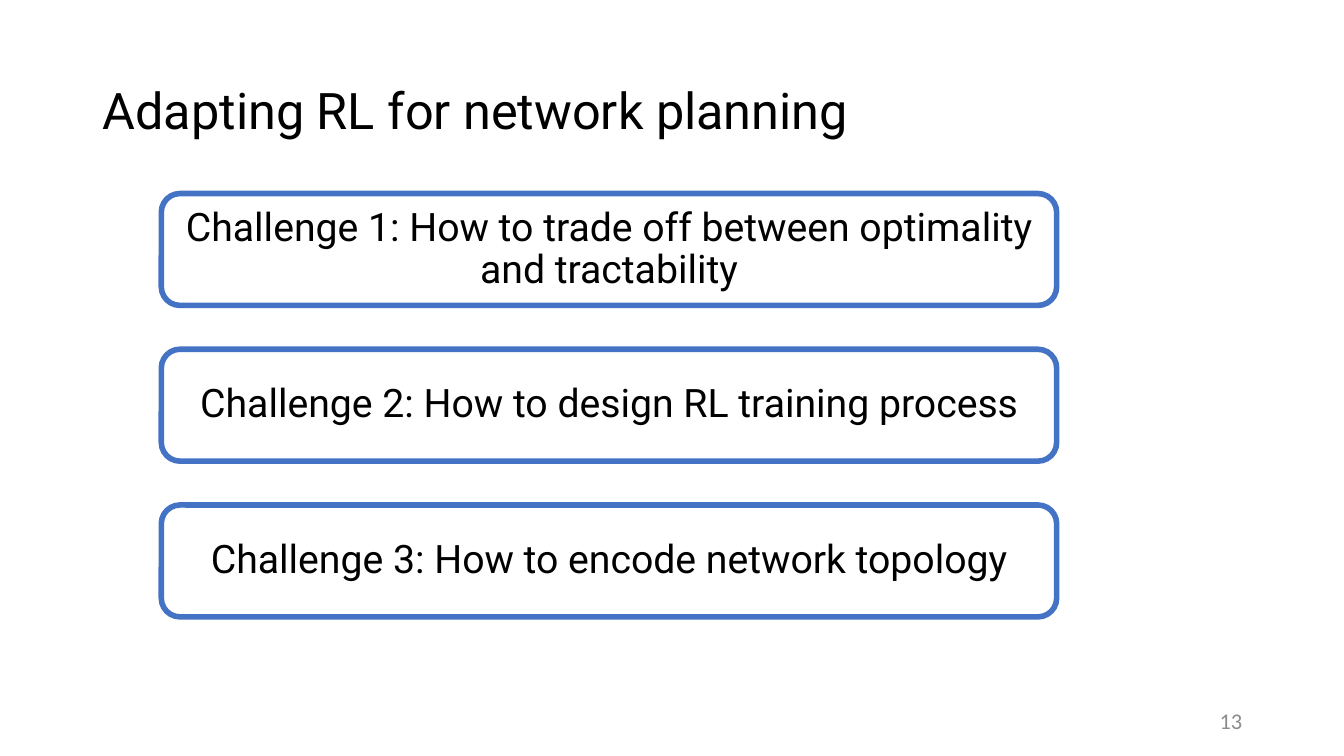
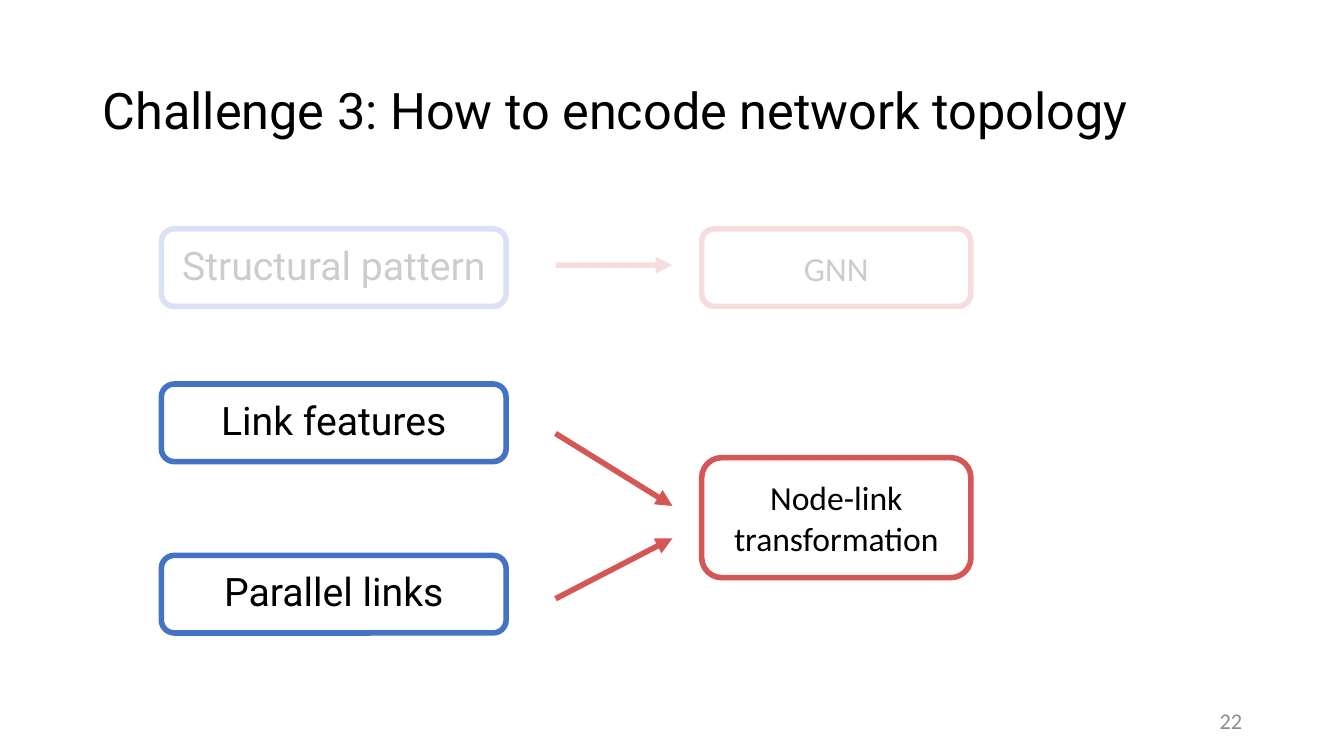
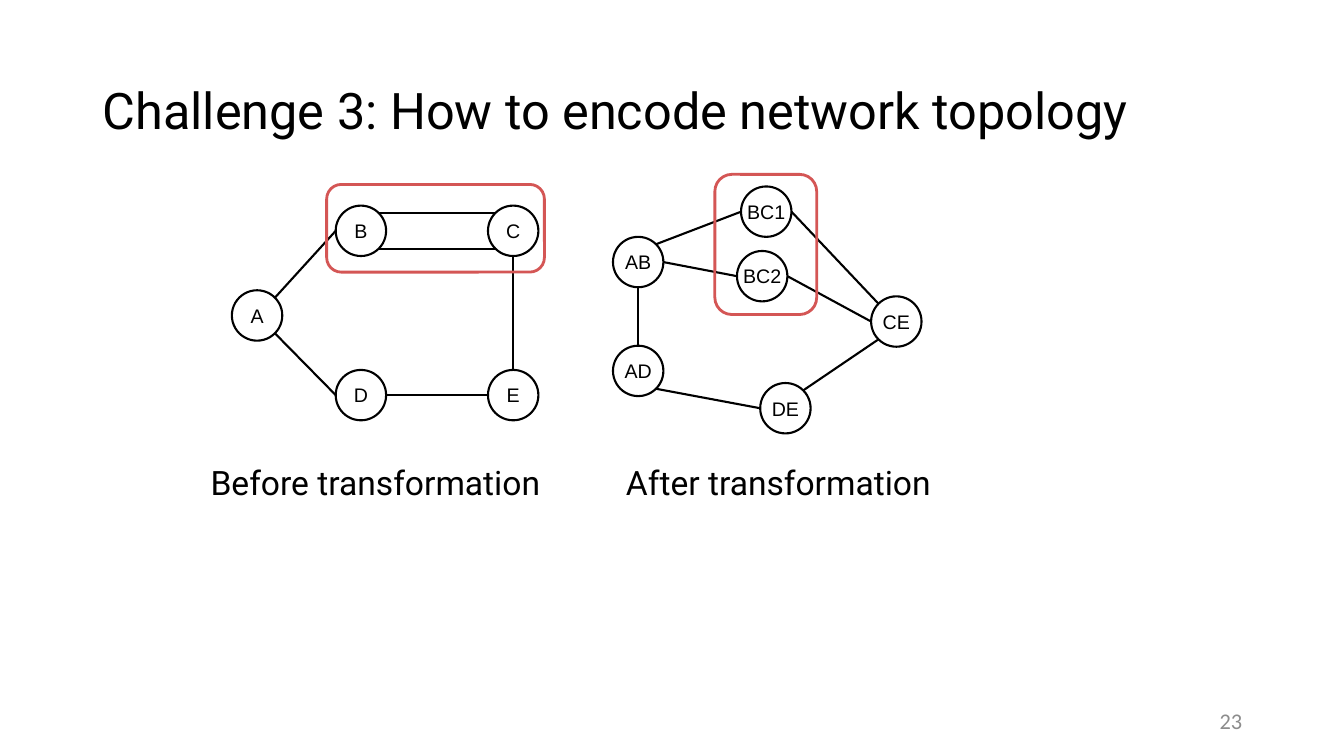
"""Build three slides on adapting RL for network planning."""
import math

import pptx
import pptx.dml.color
import pptx.enum.shapes
import pptx.enum.text
import pptx.oxml.ns
import pptx.util
from lxml import etree

Inches = pptx.util.Inches
Pt = pptx.util.Pt
rgb = pptx.dml.color.RGBColor.from_string
qn = pptx.oxml.ns.qn
LEFT, CENTER, RIGHT = (pptx.enum.text.PP_ALIGN.LEFT, pptx.enum.text.PP_ALIGN.CENTER,
                       pptx.enum.text.PP_ALIGN.RIGHT)
ROUND = pptx.enum.shapes.MSO_SHAPE.ROUNDED_RECTANGLE
OVAL = pptx.enum.shapes.MSO_SHAPE.OVAL
BLACK, WHITE, GREY, BLUE, RED = "000000", "FFFFFF", "8C8C8C", "4472C4", "D45655"


def put(slide, box, text="", size=28, font="Roboto", color=BLACK, align=CENTER,
        space=1, kind=None, fill=None, line=None, width=4, wrap=True):
    """Add a text box, or a preset shape when a kind is given."""
    place = [Inches(part) for part in box]
    if kind is None:
        shape = slide.shapes.add_textbox(*place)
    else:
        shape = slide.shapes.add_shape(kind, *place)
        shape.shadow.inherit = False
        shape.line.color.rgb = rgb(line)
        shape.line.width = Pt(width)
        if fill:
            shape.fill.solid()
            shape.fill.fore_color.rgb = rgb(fill)
        else:
            shape.fill.background()
    if text:
        frame = shape.text_frame
        frame.word_wrap = wrap
        frame.vertical_anchor = pptx.enum.text.MSO_ANCHOR.MIDDLE
        if not wrap:
            frame.margin_left = frame.margin_right = 0
            frame.margin_top = frame.margin_bottom = 0
        para = frame.paragraphs[0]
        para.alignment = align
        para.line_spacing = space
        run = para.add_run()
        run.text = text
        run.font.size = Pt(size)
        run.font.name = font
        run.font.color.rgb = rgb(color)
    return shape


def link(slide, start, end, color=BLACK, width=1.5, arrow=False):
    """Add a straight line, with an arrowhead at its end if asked."""
    line = slide.shapes.add_connector(
        pptx.enum.shapes.MSO_CONNECTOR.STRAIGHT,
        *[Inches(part) for part in (*start, *end)])
    line.line.color.rgb = rgb(color)
    line.line.width = Pt(width)
    if arrow:
        etree.SubElement(line.line._get_or_add_ln(), qn("a:tailEnd"), type="triangle")
    etree.SubElement(line._element.spPr, qn("a:effectLst"))
    return line


deck = pptx.Presentation()
deck.slide_width, deck.slide_height = Inches(13.33), Inches(7.5)

topic = "Challenge 3: How to encode network topology"
slides = []
for title, number in (("Adapting RL for network planning", "13"),
                      (topic, "22"), (topic, "23")):
    slide = deck.slides.add_slide(deck.slide_layouts[6])
    put(slide, (0.92, 0.4, 11.5, 1.45), title, 36, align=LEFT, space=0.9)
    put(slide, (9.42, 6.95, 3, 0.4), number, 16, "Calibri", GREY, RIGHT)
    slides.append(slide)
plan, encode, graph = slides

goals = ("Challenge 1: How to trade off between optimality and tractability",
         "Challenge 2: How to design RL training process", topic)
for row, text in enumerate(goals):
    put(plan, (1.6, 1.92 + 1.545 * row, 8.88, 1.11), text, space=0.9,
        kind=ROUND, fill=WHITE, line=BLUE)

needs = [put(encode, (1.6, top, 3.42, 0.77), text, space=0.9,
             kind=ROUND, fill=WHITE, line=BLUE)
         for text, top in (("Structural pattern", 2.27), ("Link features", 3.81),
                           ("Parallel links", 5.51))]
means = [put(encode, (6.96, top, 2.67, height), text, 24, "Calibri",
             kind=ROUND, fill=WHITE, line=RED)
         for text, top, height in (("GNN", 2.27, 0.77),
                                   ("Node-link transformation", 4.54, 1.19))]
arrows = [link(encode, (5.51, start), (6.67, end), RED, 4, True)
          for start, end in ((2.63, 2.63), (4.3, 5.02), (5.94, 5.34))]
for shape in (needs[0], means[0], arrows[0]):
    for tint in shape._element.xpath(".//a:ln//a:srgbClr | .//a:rPr//a:srgbClr"):
        etree.SubElement(tint, qn("a:alpha"), val="20000")

size = 0.5
nodes = {"A": (2.3, 2.88), "B": (3.33, 2.04), "C": (4.84, 2.04),
         "D": (3.33, 3.67), "E": (4.84, 3.67),
         "AB": (6.08, 2.35), "BC1": (7.35, 1.85), "BC2": (7.31, 2.49),
         "CE": (8.64, 2.94), "AD": (6.08, 3.43), "DE": (7.54, 3.8)}
edges = (("A", -45, "B", 180), ("A", 45, "D", 180), ("B", -45, "C", -135),
         ("B", 45, "C", 135), ("C", 90, "E", -90), ("D", 0, "E", 180),
         ("AB", -45, "BC1", 180), ("AB", 0, "BC2", 180), ("AB", 90, "AD", -90),
         ("AD", 45, "DE", 180), ("BC1", 0, "CE", -135), ("BC2", 0, "CE", 180),
         ("CE", 135, "DE", -45))
for name, (left, top) in nodes.items():
    put(graph, (left, top, size, size), name, 14, "Arial",
        kind=OVAL, line=BLACK, width=1.5, wrap=False)
for first, leave, second, enter in edges:
    ends = []
    for name, angle in ((first, leave), (second, enter)):
        left, top = nodes[name]
        turn = math.radians(angle)
        ends.append((left + size / 2 * (1 + math.cos(turn)),
                     top + size / 2 * (1 + math.sin(turn))))
    link(graph, *ends)
for text, left in (("Before transformation", 1.99), ("After transformation", 6.11)):
    put(graph, (left, 4.53, 3.52, 0.5), text, 24, align=LEFT)
for box in ((3.24, 1.83, 2.16, 0.87), (7.09, 1.73, 1.01, 1.39)):
    put(graph, box, kind=ROUND, line=RED, width=2)

deck.save("out.pptx")
